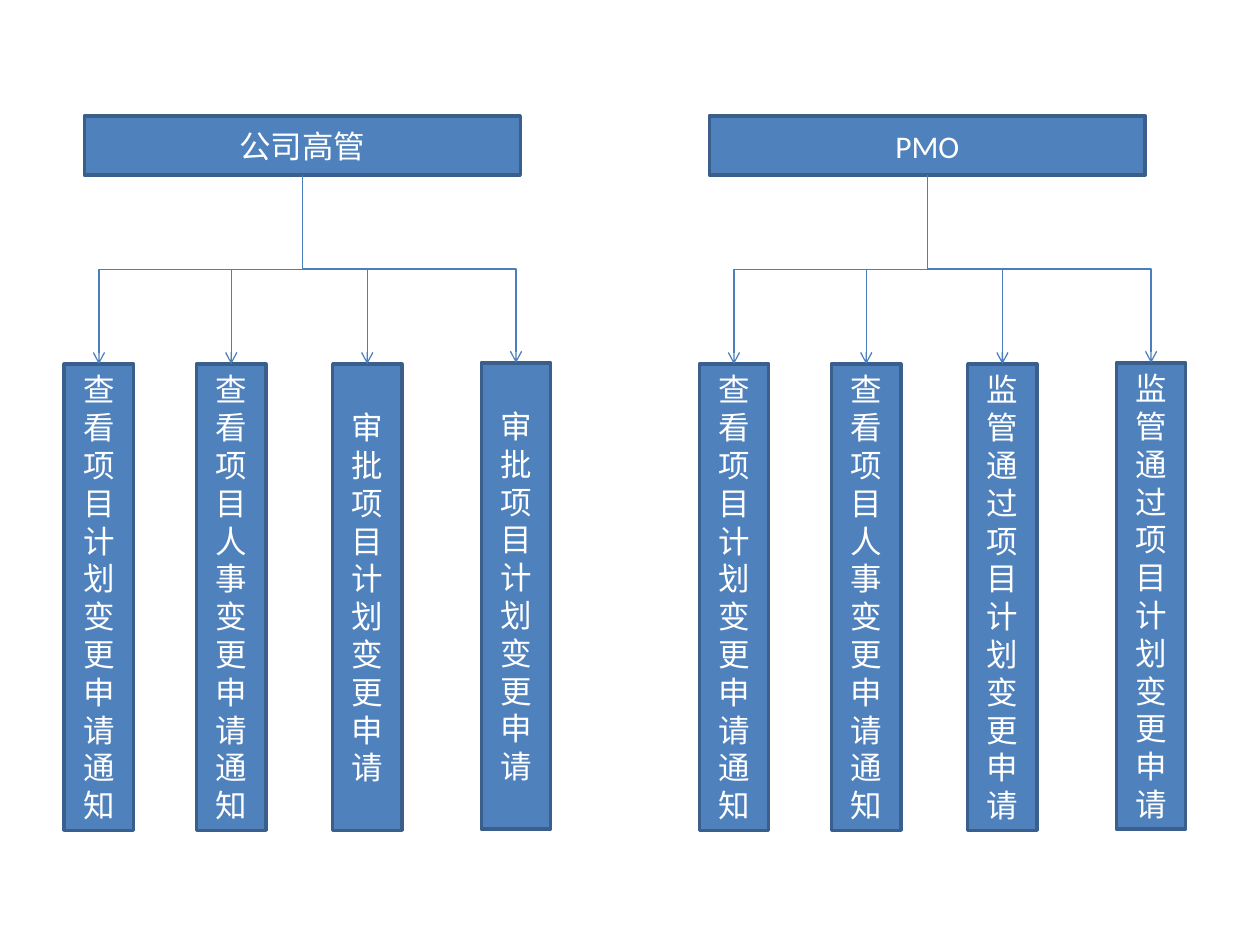
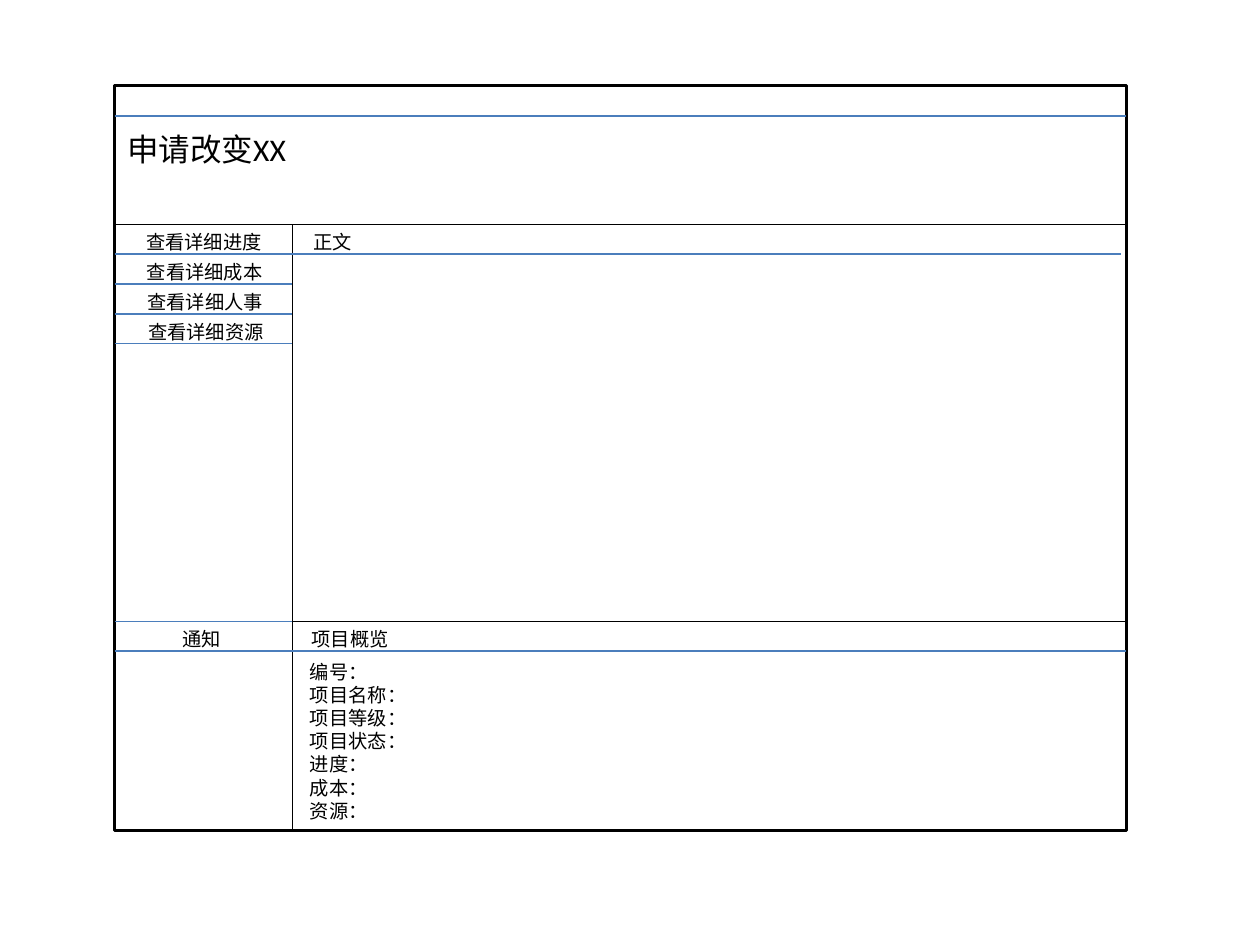
from lxml import etree
from pptx import Presentation
from pptx.dml.color import RGBColor
from pptx.enum import shapes, text
from pptx.oxml.ns import qn
from pptx.util import Inches, Pt

BLUE = RGBColor(0x4F, 0x81, 0xBD)
EDGE = RGBColor(0x3A, 0x5F, 0x8C)
LINK = RGBColor(0x4B, 0x7E, 0xBC)
BLACK = RGBColor(0, 0, 0)
WHITE = RGBColor(255, 255, 255)
LEFT, CENTER = text.PP_ALIGN.LEFT, text.PP_ALIGN.CENTER

PLAN = "查看项目计划变更申请通知"
STAFF = "查看项目人事变更申请通知"
APPROVE = "审批项目计划变更申请"
WATCH = "监管通过项目计划变更申请"
MENU = ["查看详细进度", "查看详细成本", "查看详细人事", "查看详细资源"]
FIELDS = ["编号：", "项目名称：", "项目等级：", "项目状态：", "进度：", "成本：", "资源："]


def write(shape, lines, size, color, align):
    frame = shape.text_frame
    frame.word_wrap = True
    frame.text = "\n".join(lines)
    for para in frame.paragraphs:
        para.alignment = align
        para.space_before = Pt(0)
        para.font.size = Pt(size)
        para.font.name = "Calibri"
        para.font.color.rgb = color


def place(shape, x, y, w, h):
    shape.left, shape.top = Inches(x), Inches(y)
    shape.width, shape.height = Inches(w), Inches(h)


def add_box(slide, x, y, w, h, label):
    box = slide.shapes.add_shape(shapes.MSO_SHAPE.RECTANGLE,
                                 Inches(x), Inches(y), Inches(w), Inches(h))
    box.shadow.inherit = False
    box.fill.solid()
    box.fill.fore_color.rgb = BLUE
    box.line.color.rgb = EDGE
    box.line.width = Pt(2)
    box.text_frame.vertical_anchor = text.MSO_ANCHOR.MIDDLE
    write(box, [label], 18, WHITE, CENTER)


def add_line(slide, x1, y1, x2, y2, color=LINK, kind=shapes.MSO_CONNECTOR.STRAIGHT):
    line = slide.shapes.add_connector(kind, Inches(x1), Inches(y1),
                                      Inches(x2), Inches(y2))
    line.line.color.rgb = color
    line.line.width = Pt(0.75)
    etree.SubElement(line._element.spPr, qn("a:effectLst"))
    return line


def add_elbow(slide, x1, y1, x2, y2):
    """Arrow that drops, runs sideways and drops again: a turned elbow."""
    mx, my = (x1 + x2) / 2, (y1 + y2) / 2
    w, h = (y2 - y1) / 2, abs(x2 - x1) / 2
    right = x2 > x1
    if right:
        w = -w
    elbow = add_line(slide, mx - w, my - h, mx + w, my + h,
                     kind=shapes.MSO_CONNECTOR.ELBOW)
    turn = 270 if right else 90
    props = elbow._element.spPr
    props.find(qn("a:xfrm")).set("rot", str(turn * 60000))
    etree.SubElement(props.find(qn("a:ln")), qn("a:tailEnd"), type="arrow")


def add_note(slide, x, y, label, w=1.42):
    note = slide.shapes.add_textbox(Inches(x), Inches(y), Inches(w), Inches(0.29))
    write(note, [label], 11, BLACK, CENTER)


def draw_tree(slide, head_x, leaf_x, role, tasks):
    top, head_w, head_h, leaf_w = 0.92, 3.46, 0.47, 0.55
    add_box(slide, head_x, top, head_w, head_h, role)
    steps = [(0, 2.89), (1.05, 2.89), (2.13, 2.89), (3.31, 2.88)]
    for (step, y), task in zip(steps, tasks):
        x = leaf_x + step
        add_box(slide, x, y, leaf_w, 3.7, task)
        add_elbow(slide, head_x + head_w / 2, top + head_h, x + leaf_w / 2, y)


def draw_frame(slide, x, y, w, h):
    frame = slide.shapes.add_shape(shapes.MSO_SHAPE.RECTANGLE,
                                   Inches(x), Inches(y), Inches(w), Inches(h))
    frame.shadow.inherit = False
    frame.fill.background()
    frame.line.color.rgb = BLACK
    frame.line.width = Pt(2)


def draw_page(slide, x, y, w, h):
    row, right, split = 0.237, x + w, x + 1.41
    main, foot = y + 1.1, y + 4.25
    draw_frame(slide, x, y, w, h)
    add_line(slide, x, y + 0.24, right, y + 0.24)
    add_line(slide, x, main, right, main, BLACK)
    add_line(slide, split, main, split, y + h, BLACK)
    add_line(slide, split, foot, right, foot, BLACK)
    add_line(slide, x, foot, split, foot)
    add_line(slide, x, foot + row, right, foot + row)
    add_line(slide, split, main + row, right - 0.04, main + row)

    for i, label in enumerate(MENU):
        add_line(slide, x, main + (i + 1) * row, split, main + (i + 1) * row)
        add_note(slide, x + 0.005 * i, main + i * row, label)
    add_note(slide, x + 1.02, main, "正文")
    add_note(slide, x - 0.02, foot, "通知")
    add_note(slide, x + 1.16, foot, "项目概览")

    title, body = slide.placeholders
    place(title, x, y + 0.3, 1.81, 0.4)
    write(title, ["申请改变XX"], 18, BLACK, LEFT)
    place(body, split + 0.04, foot + 0.26, 6.54, 1.4)
    write(body, FIELDS, 11, BLACK, LEFT)
    for para in body.text_frame.paragraphs:
        props = para._p.get_or_add_pPr()
        props.set("marL", "0")
        props.set("indent", "0")
        etree.SubElement(props, qn("a:buNone"))
        # bullets must precede the default run style
        props.append(props.find(qn("a:defRPr")))
    for holder in (title, body):
        holder.text_frame.auto_size = text.MSO_AUTO_SIZE.NONE
        holder.text_frame.vertical_anchor = text.MSO_ANCHOR.TOP


def main():
    deck = Presentation()
    deck.slide_width, deck.slide_height = Inches(10), Inches(7.5)
    roles = deck.slides.add_slide(deck.slide_layouts[6])
    draw_tree(roles, 0.67, 0.51, "公司高管", [PLAN, STAFF, APPROVE, APPROVE])
    draw_tree(roles, 5.63, 5.55, "PMO", [PLAN, STAFF, WATCH, WATCH])
    page = deck.slides.add_slide(deck.slide_layouts[1])
    draw_page(page, 0.91, 0.68, 8.03, 5.91)
    deck.save("out.pptx")


if __name__ == "__main__":
    main()
